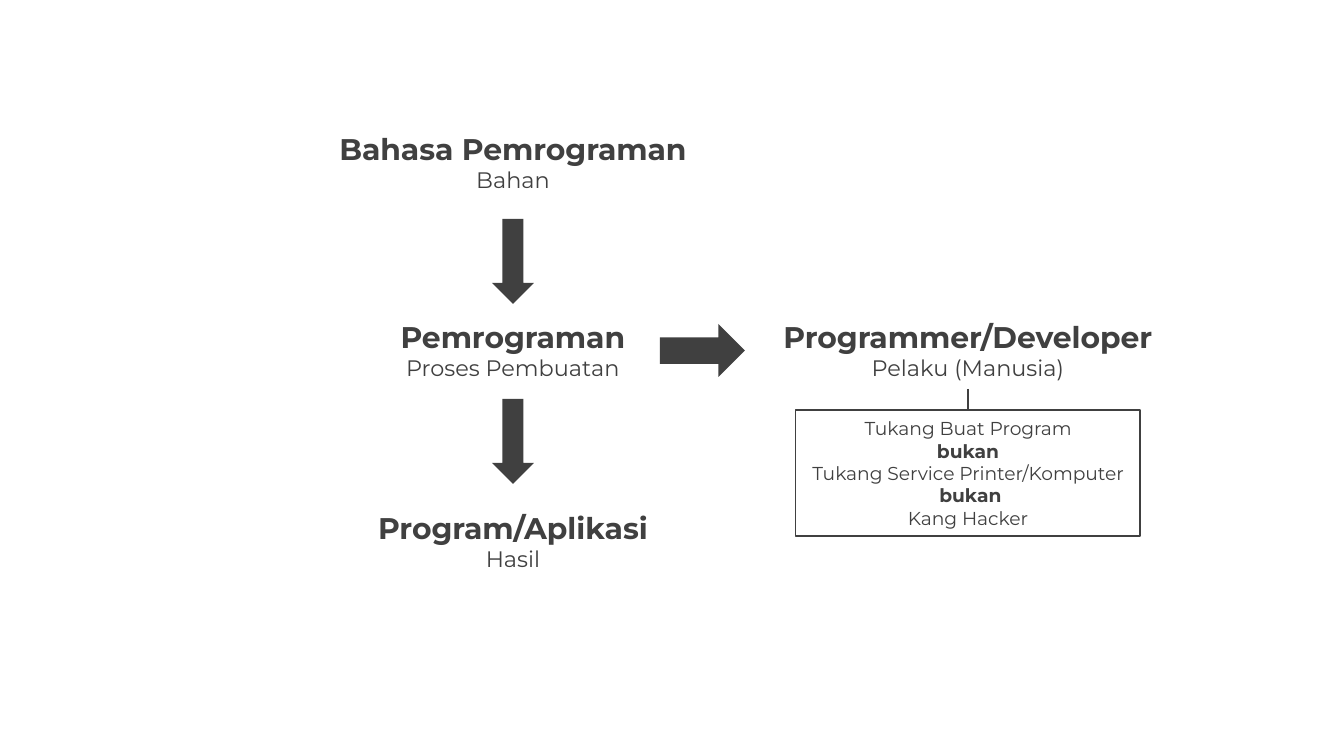
from pptx import Presentation, util as u
from pptx.dml.color import RGBColor
from pptx.enum import shapes, text
from pptx.oxml.ns import qn
from lxml import etree

SCALE = 914400 / 134.4
FONT, INK = "Montserrat", "404040"
FLOW_X, PERSON_X = 513, 968

# title, subtitle, centre x, top, width
CONCEPTS = [
    ("Pemrograman", "Proses Pembuatan", FLOW_X, 312, 254),
    ("Bahasa Pemrograman", "Bahan", FLOW_X, 124, 379),
    ("Program/Aplikasi", "Hasil", FLOW_X, 503, 306),
    ("Programmer/Developer", "Pelaku (Manusia)", PERSON_X, 312, 402),
]
CONCEPT_HEIGHT = 77
# centre x, centre y, width, rotation
ARROWS = [(FLOW_X, 261.5, 42, 0), (FLOW_X, 441.5, 42, 0), (702.5, 350.5, 53, 270)]
ARROW_LENGTH = 85
# each line is a list of (words, bold) runs
ROLE_LINES = [
    [("Tukang Buat Program", False)],
    [("bukan", True)],
    [("Tukang Service Printer/Komputer", False)],
    [(" ", False), ("bukan", True)],
    [("Kang Hacker", False)],
]
ROLE_TOP, ROLE_WIDTH, ROLE_HEIGHT = 410, 345, 126
STEM_TOP = 389


def px(value):
    """Turn pixels into EMU."""
    return u.Emu(round(value * SCALE))


def color(value):
    """Turn a hex string into a colour."""
    return RGBColor.from_string(value)


def centred(center, top, width, height):
    """Give the EMU box centred on a vertical axis."""
    return [px(value) for value in (center - width / 2, top, width, height)]


def write(frame, lines):
    """Write centred lines of (words, size, bold) runs."""
    for index, runs in enumerate(lines):
        paragraph = frame.add_paragraph() if index else frame.paragraphs[0]
        paragraph.alignment = text.PP_ALIGN.CENTER
        for words, size, bold in runs:
            run = paragraph.add_run()
            run.text = words
            run.font.name, run.font.size, run.font.bold = FONT, u.Pt(size), bold
            run.font.color.rgb = color(INK)


def add_concept(slide, title, subtitle, center, top, width):
    """Add a bold title above its subtitle."""
    frame = slide.shapes.add_textbox(*centred(center, top, width, CONCEPT_HEIGHT)).text_frame
    frame.word_wrap = True
    frame.auto_size = text.MSO_AUTO_SIZE.SHAPE_TO_FIT_TEXT
    write(frame, [[(title, 16, True)], [(subtitle, 12, False)]])


def add_arrow(slide, center, middle, width, rotation):
    """Add a solid block arrow around its centre."""
    box = centred(center, middle - ARROW_LENGTH / 2, width, ARROW_LENGTH)
    arrow = slide.shapes.add_shape(shapes.MSO_SHAPE.DOWN_ARROW, *box)
    arrow.shadow.inherit = False
    arrow.rotation = rotation
    arrow.fill.solid()
    arrow.fill.fore_color.rgb = color(INK)
    arrow.line.fill.background()


def outline(line):
    """Set the thin dark line."""
    line.color.rgb = color(INK)
    line.width = u.Pt(1)


def add_role(slide):
    """Add the outlined role box and the stem above it, as a group."""
    group = slide.shapes.add_group_shape()
    box = group.shapes.add_shape(
        shapes.MSO_SHAPE.RECTANGLE, *centred(PERSON_X, ROLE_TOP, ROLE_WIDTH, ROLE_HEIGHT))
    box.shadow.inherit = False
    box.fill.background()
    outline(box.line)
    frame = box.text_frame
    frame.word_wrap = False
    frame.auto_size = text.MSO_AUTO_SIZE.SHAPE_TO_FIT_TEXT
    write(frame, [[(words, 10, bold) for words, bold in runs] for runs in ROLE_LINES])
    stem = group.shapes.add_connector(
        shapes.MSO_CONNECTOR.STRAIGHT, px(PERSON_X), px(STEM_TOP), px(PERSON_X), px(ROLE_TOP))
    outline(stem.line)
    etree.SubElement(stem._element.spPr, qn("a:effectLst"))


def main():
    """Build the slide and save it."""
    presentation = Presentation()
    presentation.slide_width, presentation.slide_height = px(1344), px(756)
    slide = presentation.slides.add_slide(presentation.slide_layouts[6])
    for concept in CONCEPTS:
        add_concept(slide, *concept)
    for arrow in ARROWS:
        add_arrow(slide, *arrow)
    add_role(slide)
    presentation.save("out.pptx")


main()
